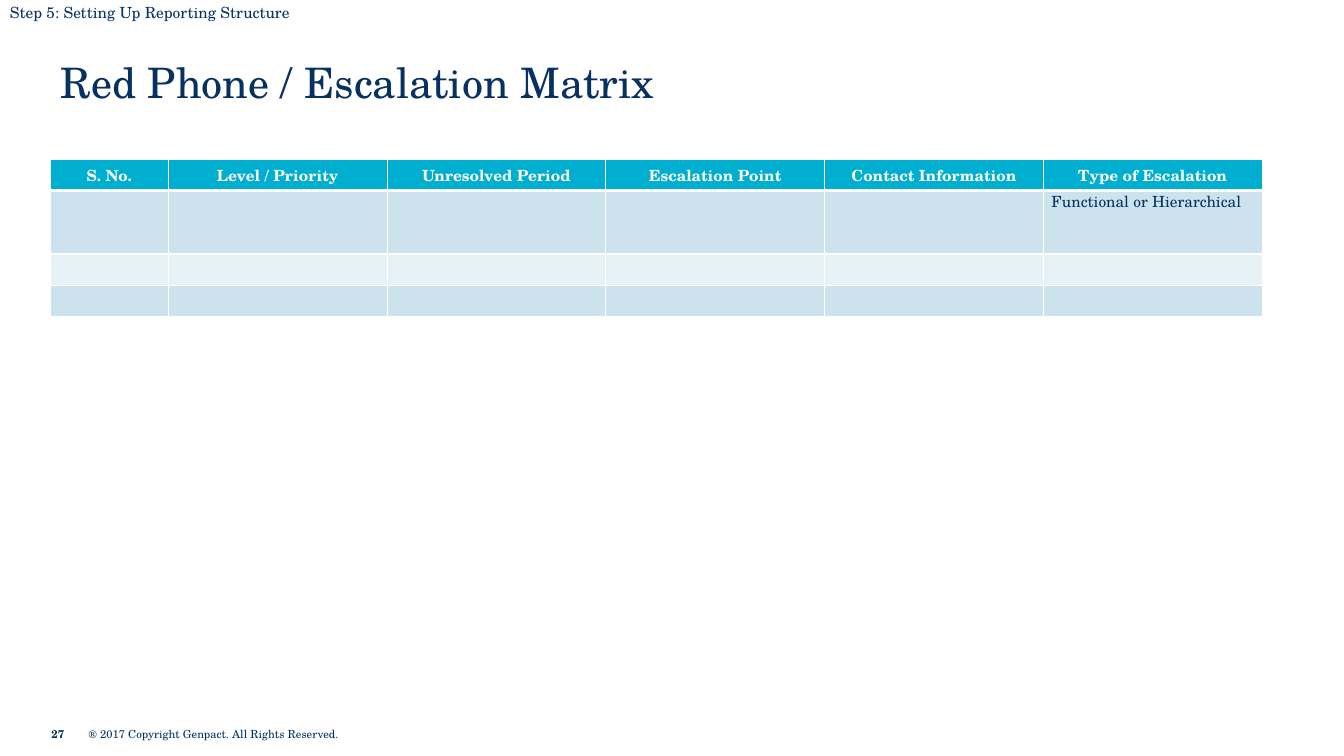
from lxml import etree
from pptx import Presentation
from pptx.dml.color import RGBColor
from pptx.enum.text import MSO_ANCHOR, PP_ALIGN
from pptx.oxml.ns import qn
from pptx.util import Inches, Pt

MIDDLE, TOP = MSO_ANCHOR.MIDDLE, MSO_ANCHOR.TOP
CENTER, LEFT = PP_ALIGN.CENTER, PP_ALIGN.LEFT

FONT = "TeX Gyre Schola"
NAVY = RGBColor(0x07, 0x32, 0x62)
TITLE_NAVY = RGBColor(0x06, 0x31, 0x61)
WHITE = RGBColor(0xFF, 0xFF, 0xFF)
TEAL = RGBColor(0x00, 0xAE, 0xCF)
BAND_FILLS = (RGBColor(0xCC, 0xE3, 0xED), RGBColor(0xE7, 0xF2, 0xF6))

TABLE_SIZE = 11
COLUMN_WIDTHS = (1.17, 2.17, 2.17, 2.17, 2.17, 2.17)
ROW_HEIGHTS = (0.31, 0.63, 0.31, 0.31)
ROWS = (
    ("S. No.", "Level / Priority", "Unresolved Period", "Escalation Point",
     "Contact Information", "Type of Escalation"),
    ("", "", "", "", "", "Functional or Hierarchical"),
    ("",) * 6,
    ("",) * 6,
)


def add_span(para, text, size, color=NAVY, bold=False):
    span = para.add_run()
    span.text = text
    span.font.color.rgb = color
    for name, value in {"name": FONT, "size": Pt(size), "bold": bold}.items():
        setattr(span.font, name, value)


def set_margins(target, side, end):
    margins = {"margin_left": side, "margin_right": side,
               "margin_top": end, "margin_bottom": end}
    for name, value in margins.items():
        setattr(target, name, Inches(value))


def add_text(page, box, text, size, color=NAVY, bold=False,
             anchor=MIDDLE, margins=(0.1, 0.05)):
    frame = page.shapes.add_textbox(*map(Inches, box)).text_frame
    frame.word_wrap = True
    frame.vertical_anchor = anchor
    set_margins(frame, *margins)
    add_span(frame.paragraphs[0], text, size, color, bold)


def add_borders(cell, bottom_width):
    """Draw white rules on all four sides of a cell."""
    properties = cell._tc.get_or_add_tcPr()
    widths = {"lnL": 1, "lnR": 1, "lnT": 1, "lnB": bottom_width}
    for index, (side, width) in enumerate(widths.items()):
        line = etree.Element(qn(f"a:{side}"), w=str(Pt(width)))
        fill = etree.SubElement(line, qn("a:solidFill"))
        etree.SubElement(fill, qn("a:srgbClr"), val=str(WHITE))
        properties.insert(index, line)


def fill_cell(cell, text, fill, is_header):
    cell.fill.solid()
    cell.fill.fore_color.rgb = fill
    cell.vertical_anchor = MIDDLE if is_header else TOP
    set_margins(cell, 0.08, 0)
    add_borders(cell, 3 if is_header else 1)
    para = cell.text_frame.paragraphs[0]
    para.alignment = CENTER if is_header else LEFT
    if text:
        add_span(para, text, TABLE_SIZE, WHITE if is_header else NAVY, is_header)
    else:
        # Keeps an empty cell from growing to the default text size
        etree.SubElement(para._p, qn("a:endParaRPr"), sz=str(TABLE_SIZE * 100))


def add_escalation_table(page, left, top):
    frame = page.shapes.add_table(
        len(ROWS), len(COLUMN_WIDTHS), Inches(left), Inches(top),
        Inches(sum(COLUMN_WIDTHS)), Inches(sum(ROW_HEIGHTS)))
    table = frame.table
    for column, width in zip(table.columns, COLUMN_WIDTHS):
        column.width = Inches(width)
    for index, (row, height) in enumerate(zip(table.rows, ROW_HEIGHTS)):
        row.height = Inches(height)
        is_header = index == 0
        fill = TEAL if is_header else BAND_FILLS[(index - 1) % 2]
        for cell, text in zip(row.cells, ROWS[index]):
            fill_cell(cell, text, fill, is_header)


def add_header(page, left, top):
    add_text(page, (left, top, 5.44, 0.29),
             "Step 5: Setting Up Reporting Structure", 11, anchor=TOP)
    add_text(page, (left + 0.5, top + 0.54, 7.91, 0.58),
             "Red Phone / Escalation Matrix", 30, TITLE_NAVY)


def add_footer(page, left, top):
    add_text(page, (left, top, 0.35, 0.24), "27", 8, bold=True, margins=(0, 0))
    add_text(page, (left + 0.37, top, 2.58, 0.24),
             "® 2017 Copyright Genpact. All Rights Reserved.", 8, margins=(0, 0))


def main():
    deck = Presentation()
    deck.slide_width, deck.slide_height = Inches(13.33), Inches(7.5)
    page = deck.slides.add_slide(deck.slide_layouts[6])
    add_footer(page, 0.51, 7.16)
    add_header(page, 0, -0.02)
    add_escalation_table(page, 0.5, 1.58)
    deck.save("out.pptx")


if __name__ == "__main__":
    main()
